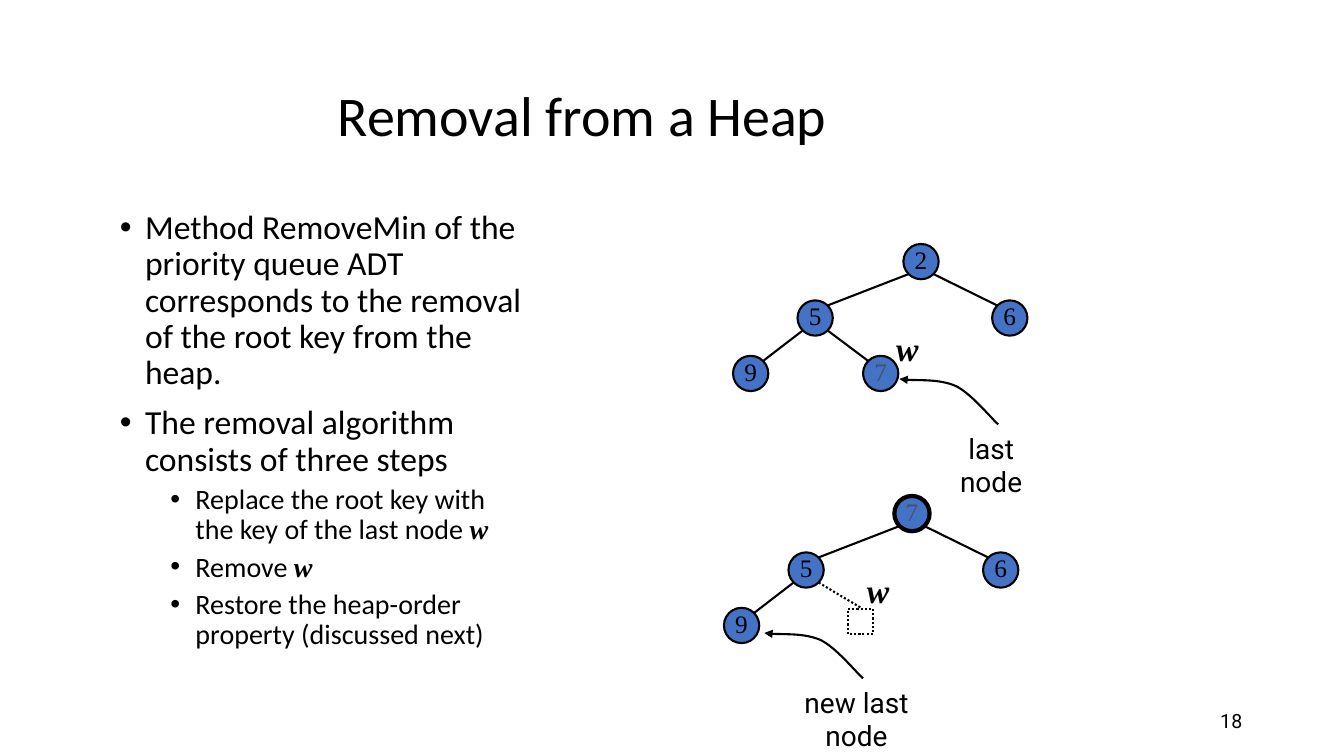
from lxml.etree import SubElement
from pptx import Presentation
from pptx.dml.color import RGBColor
from pptx.enum.dml import MSO_LINE
from pptx.enum.shapes import MSO_CONNECTOR, MSO_SHAPE
from pptx.enum.text import MSO_ANCHOR as Anchor, MSO_AUTO_SIZE, PP_ALIGN as Align
from pptx.oxml.ns import qn
from pptx.util import Inches, Pt

COLORS = {"black": "000000", "white": "FFFFFF", "node": "4472C4", "moved": "44546A"}
SANS, LABEL, SERIF = "Calibri", "Roboto", "Times New Roman"
NODE_SIZE, NEAR, FAR = 0.35, 0.05, 0.30

# Node positions relative to the root of a tree
TREE = {"root": (0, 0), "left": (-1.05, 0.56), "right": (0.88, 0.56),
        "left leaf": (-1.69, 1.11), "last": (-0.4, 1.11)}
EDGES = [("root", "left"), ("root", "right"), ("left", "left leaf"), ("left", "last")]
ARROW_CURVE = [(0.98, 0.45), (0.91, 0.39), (0.72, 0.15), (0.56, 0.07),
               (0.4, 0), (0.11, 0.02), (0, 0)]

BULLETS = [
    (0, "Method RemoveMin of the priority queue ADT corresponds to the removal "
        "of the root key from the heap.", ""),
    (0, "The removal algorithm consists of three steps", ""),
    (1, "Replace the root key with the key of the last node ", "w"),
    (1, "Remove ", "w"),
    (1, "Restore the heap-order property (discussed next)", ""),
]


def rgb(name):
    return RGBColor.from_string(COLORS[name])


class HeapSlide:
    def __init__(self, presentation):
        self.slide = presentation.slides.add_slide(presentation.slide_layouts[5])
        self.shapes = self.slide.shapes

    def style(self, font, name, size, color="black", emphasis=False):
        font.name, font.size = name, Pt(size)
        font.bold = font.italic = emphasis
        font.color.rgb = rgb(color)

    def outline(self, line, width=1.5, dotted=False):
        line.color.rgb = rgb("black")
        line.width = Pt(width)
        if dotted:
            line.dash_style = MSO_LINE.ROUND_DOT

    def title(self, text, left, top, width, height):
        title = self.shapes.title
        title.left, title.top = Inches(left), Inches(top)
        title.width, title.height = Inches(width), Inches(height)
        frame = title.text_frame
        frame.text = text
        frame.auto_size = MSO_AUTO_SIZE.NONE
        frame.vertical_anchor = Anchor.MIDDLE
        paragraph = frame.paragraphs[0]
        paragraph.alignment, paragraph.line_spacing = Align.LEFT, 0.9
        self.style(paragraph.runs[0].font, SANS, 40)

    def text(self, text, left, top, width, height, font=LABEL, size=20,
             align=Align.CENTER, anchor=Anchor.TOP, emphasis=False):
        box = self.shapes.add_textbox(Inches(left), Inches(top), Inches(width), Inches(height))
        frame = box.text_frame
        frame.word_wrap = True
        frame.vertical_anchor = anchor
        frame.text = text
        frame.paragraphs[0].alignment = align
        self.style(frame.paragraphs[0].runs[0].font, font, size, emphasis=emphasis)

    def bullets(self, items, left, top, width, height):
        """Add bulleted paragraphs; each item is level, text and an italic variable."""
        box = self.shapes.add_textbox(Inches(left), Inches(top), Inches(width), Inches(height))
        frame = box.text_frame
        frame.word_wrap = True
        for index, (level, text, variable) in enumerate(items):
            paragraph = frame.add_paragraph() if index else frame.paragraphs[0]
            paragraph.text = text
            paragraph.level = level
            paragraph.line_spacing = 0.9
            paragraph.space_before = Pt((5 if level else 10) if index else 0)
            properties = paragraph._p.get_or_add_pPr()
            properties.set("marL", str(Inches(0.25 + 0.5 * level)))
            properties.set("indent", str(Inches(-0.25)))
            SubElement(properties, qn("a:buFont"), typeface="Arial")
            SubElement(properties, qn("a:buChar"), char="•")
            size = 20 if level else 24
            self.style(paragraph.runs[0].font, SANS, size)
            if variable:
                run = paragraph.add_run()
                run.text = variable
                self.style(run.font, SERIF, size, emphasis=True)

    def block(self, kind, left, top, size, fill, line_width=1.5, dotted=False):
        shape = self.shapes.add_shape(kind, Inches(left), Inches(top), Inches(size), Inches(size))
        shape.shadow.inherit = False
        shape.fill.solid()
        shape.fill.fore_color.rgb = rgb(fill)
        self.outline(shape.line, line_width, dotted)
        return shape

    def node(self, key, left, top, color="black", line_width=1.5):
        shape = self.block(MSO_SHAPE.OVAL, left, top, NODE_SIZE, "node", line_width)
        frame = shape.text_frame
        frame.margin_left = frame.margin_right = frame.margin_top = 0
        frame.margin_bottom = Inches(0.05)
        frame.word_wrap = False
        frame.vertical_anchor = Anchor.MIDDLE
        frame.text = key
        frame.paragraphs[0].alignment = Align.CENTER
        self.style(frame.paragraphs[0].runs[0].font, SERIF, 18, color)

    def edge(self, start, end, dotted=False):
        line = self.shapes.add_connector(
            MSO_CONNECTOR.STRAIGHT, *(Inches(value) for value in (*start, *end)))
        self.outline(line.line, dotted=dotted)
        SubElement(line._element.spPr, qn("a:effectLst"))

    def tree(self, left, top, keys, moved, root_width=1.5):
        """Draw a heap; a missing last key becomes a dotted empty box."""
        places = {name: (left + x, top + y) for name, (x, y) in TREE.items()}
        for parent, child in EDGES:
            (parent_x, parent_y), (child_x, child_y) = places[parent], places[child]
            goes_left = child_x < parent_x
            start = (parent_x + (NEAR if goes_left else FAR), parent_y + FAR)
            end = (child_x + (FAR if goes_left else NEAR), child_y + NEAR)
            removed = child not in keys
            if removed:
                end = (child_x + 0.07, child_y)
            self.edge(start, end, dotted=removed)
        for name, (x, y) in places.items():
            if name in keys:
                self.node(keys[name], x, y, "moved" if name == moved else "black",
                          root_width if name == "root" else 1.5)
            else:
                self.block(MSO_SHAPE.RECTANGLE, x - 0.06, y + 0.01, 0.25, "white", dotted=True)

    def curved_arrow(self, left, top):
        points = [(Inches(left + x), Inches(top + y)) for x, y in ARROW_CURVE]
        builder = self.shapes.build_freeform(*points[0])
        builder.add_line_segments(points[1:], close=False)
        arrow = builder.convert_to_shape()
        arrow.shadow.inherit = False
        arrow.fill.background()
        self.outline(arrow.line)
        SubElement(arrow.line._get_or_add_ln(), qn("a:tailEnd"), type="triangle")
        # Every three line points become the control points of one Bézier segment
        path = next(arrow._element.iter(qn("a:path")))
        segments = path.findall(qn("a:lnTo"))
        for index, segment in enumerate(segments):
            if index % 3 == 0:
                curve = SubElement(path, qn("a:cubicBezTo"))
            curve.append(segment[0])
            path.remove(segment)

    def variable(self, left, top):
        self.text("w", left, top, 0.42, 0.5, SERIF, 24, emphasis=True)


def main():
    presentation = Presentation()
    presentation.slide_width, presentation.slide_height = Inches(13.33), Inches(7.5)
    page = HeapSlide(presentation)
    page.text("18", 9.42, 6.95, 3, 0.4, size=14, align=Align.RIGHT, anchor=Anchor.MIDDLE)
    page.title("Removal from a Heap", 3.25, 0.75, 5.66, 0.84)
    page.bullets(BULLETS, 1.09, 2.04, 4.25, 5)

    before = {"root": "2", "left": "5", "right": "6", "left leaf": "9", "last": "7"}
    page.tree(8.96, 2.42, before, moved="last")
    page.curved_arrow(8.92, 3.76)
    page.text("last node", 9.17, 4.23, 1.32, 0.43)
    page.variable(8.79, 3.2)

    after = {"root": "7", "left": "5", "right": "6", "left leaf": "9"}
    page.tree(8.87, 4.92, after, moved="root", root_width=3)
    page.variable(8.5, 5.6)
    page.curved_arrow(7.58, 6.28)
    page.text("new last node", 7.54, 6.75, 1.91, 0.43)
    presentation.save("out.pptx")


if __name__ == "__main__":
    main()
